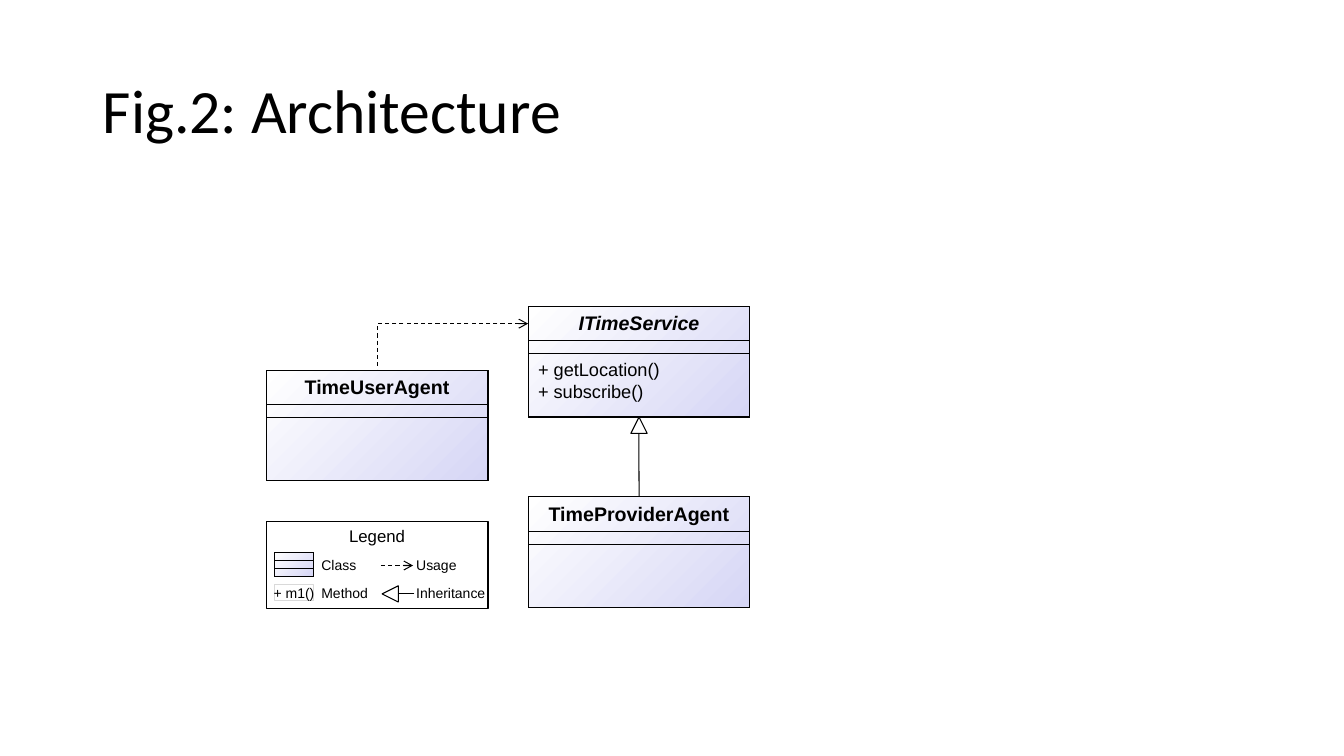
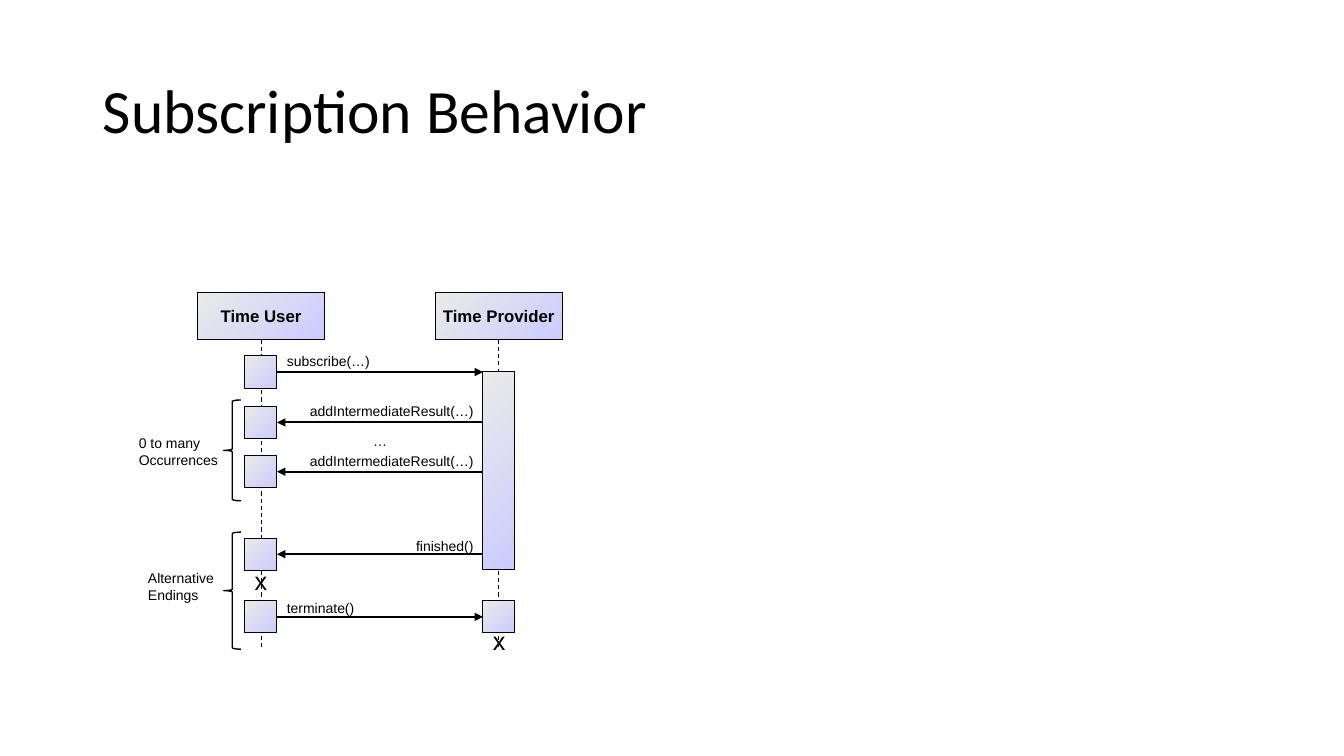
from lxml import etree
from pptx import Presentation
from pptx import util as u
from pptx.dml.color import RGBColor
from pptx.enum import dml, shapes, text
from pptx.oxml.ns import qn

COLORS = {
    "ink": "000000",
    "paper": "FFFFFF",
    "class_end": "D6D6F5",
    "actor_start": "EAEAEA",
    "actor_end": "CCCCFF",
    "faint": "D9D9D9",
}
CLASS_FILL = ("paper", "class_end")
ACTOR_FILL = ("actor_start", "actor_end")
RECT = shapes.MSO_SHAPE.RECTANGLE
TRIANGLE = shapes.MSO_SHAPE.ISOSCELES_TRIANGLE
STRAIGHT = shapes.MSO_CONNECTOR.STRAIGHT
LEFT, CENTER, RIGHT = text.PP_ALIGN.LEFT, text.PP_ALIGN.CENTER, text.PP_ALIGN.RIGHT
TOP, MIDDLE = text.MSO_ANCHOR.TOP, text.MSO_ANCHOR.MIDDLE


def place(page, kind, left, top, width, height, fill=(), outline="ink", weight=0.75,
          lines=(), size=10, font="Arial", bold=False, italic=False,
          align=LEFT, anchor=TOP, wrap=True, inset=True, spacing=None):
    area = [u.Cm(value) for value in (left, top, width, height)]
    if kind is None:
        box = page.shapes.add_textbox(*area)
    else:
        box = page.shapes.add_shape(kind, *area)
        box.shadow.inherit = False
        box.line.color.rgb = RGBColor.from_string(COLORS[outline])
        box.line.width = u.Pt(weight)
        if len(fill) == 2:
            box.fill.gradient()
            box.fill.gradient_angle = 315
            for stop, name in zip(box.fill.gradient_stops, fill):
                stop.color.rgb = RGBColor.from_string(COLORS[name])
        elif fill:
            box.fill.solid()
            box.fill.fore_color.rgb = RGBColor.from_string(COLORS[fill[0]])
        else:
            box.fill.background()
    frame = box.text_frame
    frame.word_wrap = wrap
    frame.vertical_anchor = anchor
    if not inset:
        frame.margin_left = frame.margin_right = frame.margin_top = frame.margin_bottom = 0
    for index, line in enumerate(lines):
        para = frame.add_paragraph() if index else frame.paragraphs[0]
        para.alignment = align
        if spacing:
            para.line_spacing = spacing
        span = para.add_run()
        span.text = line
        span.font.name = font
        span.font.size = u.Pt(size)
        span.font.bold = bold
        span.font.italic = italic
        span.font.color.rgb = RGBColor.from_string(COLORS["ink"])
    return box


def link(page, kind, start, end, weight=0.75, dashed=False, head=None, tail=None):
    line = page.shapes.add_connector(kind, *[u.Cm(value) for value in start + end])
    line.line.color.rgb = RGBColor.from_string(COLORS["ink"])
    line.line.width = u.Pt(weight)
    if dashed:
        line.line.dash_style = dml.MSO_LINE.DASH
    properties = line.element.spPr
    outline = properties.find(qn("a:ln"))
    for tag, arrow in (("a:headEnd", head), ("a:tailEnd", tail)):
        if arrow:
            etree.SubElement(outline, qn(tag), type=arrow)
    etree.SubElement(properties, qn("a:effectLst"))
    return line


deck = Presentation()
deck.slide_width, deck.slide_height = u.Cm(33.87), u.Cm(19.05)
pages = []
for title in ("Fig.2: Architecture", "Subscription Behavior"):
    page = deck.slides.add_slide(deck.slide_layouts[6])
    place(page, None, 2.34, 1.02, 29.21, 3.68, lines=[title], size=44,
          font="Calibri", anchor=MIDDLE, spacing=0.9)
    pages.append(page)
architecture, behavior = pages

headers = {}
for name, left, top, methods in (
    ("ITimeService", 13.31, 7.72, ["+ getLocation()", "+ subscribe()"]),
    ("TimeUserAgent", 6.71, 9.33, []),
    ("TimeProviderAgent", 13.31, 12.52, []),
):
    place(architecture, RECT, left, top, 5.59, 2.79, fill=CLASS_FILL)
    headers[name] = place(architecture, RECT, left, top, 5.59, 0.87, lines=[name],
                          size=14, bold=True, italic=bool(methods), align=CENTER)
    place(architecture, RECT, left, top + 1.19, 5.59, 1.6, lines=methods, size=13)

usage = link(architecture, shapes.MSO_CONNECTOR.ELBOW, (13.31, 8.15), (9.5, 9.33),
             dashed=True, head="arrow")
usage.element.spPr.find(qn("a:prstGeom")).set("prst", "bentConnector2")
usage.begin_connect(headers["ITimeService"], 1)
usage.end_connect(headers["TimeUserAgent"], 0)

place(architecture, TRIANGLE, 15.9, 10.51, 0.41, 0.41, fill=("paper",))
inheritance = link(architecture, STRAIGHT, (16.1, 12.52), (16.1, 10.92))
inheritance.begin_connect(headers["TimeProviderAgent"], 0)

place(architecture, RECT, 6.71, 13.13, 5.59, 2.21, fill=("paper",),
      lines=["Legend"], size=12, align=CENTER)
place(architecture, RECT, 6.91, 13.92, 1, 0.61, fill=CLASS_FILL)
for top in (13.92, 14.33):
    place(architecture, RECT, 6.91, top, 1, 0.2)
place(architecture, RECT, 6.91, 14.73, 1, 0.41, outline="faint", lines=["+ m1()"],
      align=CENTER, anchor=MIDDLE, wrap=False, inset=False)
link(architecture, STRAIGHT, (9.6, 14.25), (10.41, 14.25), dashed=True, tail="arrow")
sign = place(architecture, TRIANGLE, 9.63, 14.76, 0.41, 0.41, fill=("paper",))
sign.rotation = 270
link(architecture, STRAIGHT, (10.44, 14.96), (10.04, 14.96))
for left, labels in ((8.1, ("Class", "Method")), (10.49, ("Usage", "Inheritance"))):
    for label, top, height in zip(labels, (13.92, 14.73), (0.61, 0.43)):
        place(architecture, None, left, top, 1.9, height, lines=[label],
              anchor=MIDDLE, inset=False)

for actor, left in (("Time User", 4.98), ("Time Provider", 10.97)):
    actor_box = place(behavior, RECT, left, 7.37, 3.2, 1.19, fill=ACTOR_FILL,
                      lines=[actor], size=12, bold=True, align=CENTER,
                      anchor=MIDDLE, wrap=False)
    lifeline = link(behavior, STRAIGHT, (left + 1.6, 8.56), (left + 1.6, 16.36), dashed=True)
    lifeline.begin_connect(actor_box, 2)

USER_LEFT, PROVIDER_LEFT, ACTIVE = 6.17, 12.17, 0.81
USER_RIGHT = USER_LEFT + ACTIVE
place(behavior, RECT, PROVIDER_LEFT, 9.37, ACTIVE, 4.98, fill=ACTOR_FILL)
last_step = place(behavior, RECT, PROVIDER_LEFT, 15.14, ACTIVE, ACTIVE, fill=ACTOR_FILL)
for message, top, label_top, from_user in (
    ("subscribe(…)", 8.97, 8.76, True),
    ("addIntermediateResult(…)", 10.24, 10.03, False),
    ("addIntermediateResult(…)", 11.48, 11.28, False),
    ("finished()", 13.56, 13.41, False),
    ("terminate()", 15.14, 14.99, True),
):
    step = place(behavior, RECT, USER_LEFT, top, ACTIVE, ACTIVE, fill=ACTOR_FILL)
    middle = top + ACTIVE / 2
    ends = [(USER_RIGHT, middle), (PROVIDER_LEFT, middle)]
    if from_user:
        arrow = link(behavior, STRAIGHT, *ends, weight=1.5, tail="triangle")
        arrow.begin_connect(step, 3)
    else:
        arrow = link(behavior, STRAIGHT, *reversed(ends), weight=1.5, tail="triangle")
        arrow.end_connect(step, 3)
    place(behavior, None, USER_RIGHT, label_top, 5.2, 0.94, lines=[message],
          align=LEFT if from_user else RIGHT)
arrow.end_connect(last_step, 1)
place(behavior, None, USER_RIGHT, 10.64, 5.2, 0.94, lines=["…"], align=CENTER, anchor=MIDDLE)

for top, height, left, label_top, lines in (
    (10.08, 2.54, 3.25, 10.82, ["0 to many", "Occurrences"]),
    (13.41, 2.95, 3.48, 14.22, ["Alternative", "Endings"]),
):
    place(behavior, shapes.MSO_SHAPE.LEFT_BRACE, 5.64, top, 0.43, height, weight=1)
    place(behavior, None, left, label_top, 5.2, 0.94, lines=lines)

for left, top in ((PROVIDER_LEFT, 15.62), (USER_LEFT, 14.12)):
    place(behavior, None, left, top, 0.84, 1.02, lines=["x"], size=18, wrap=False)

deck.save("out.pptx")
